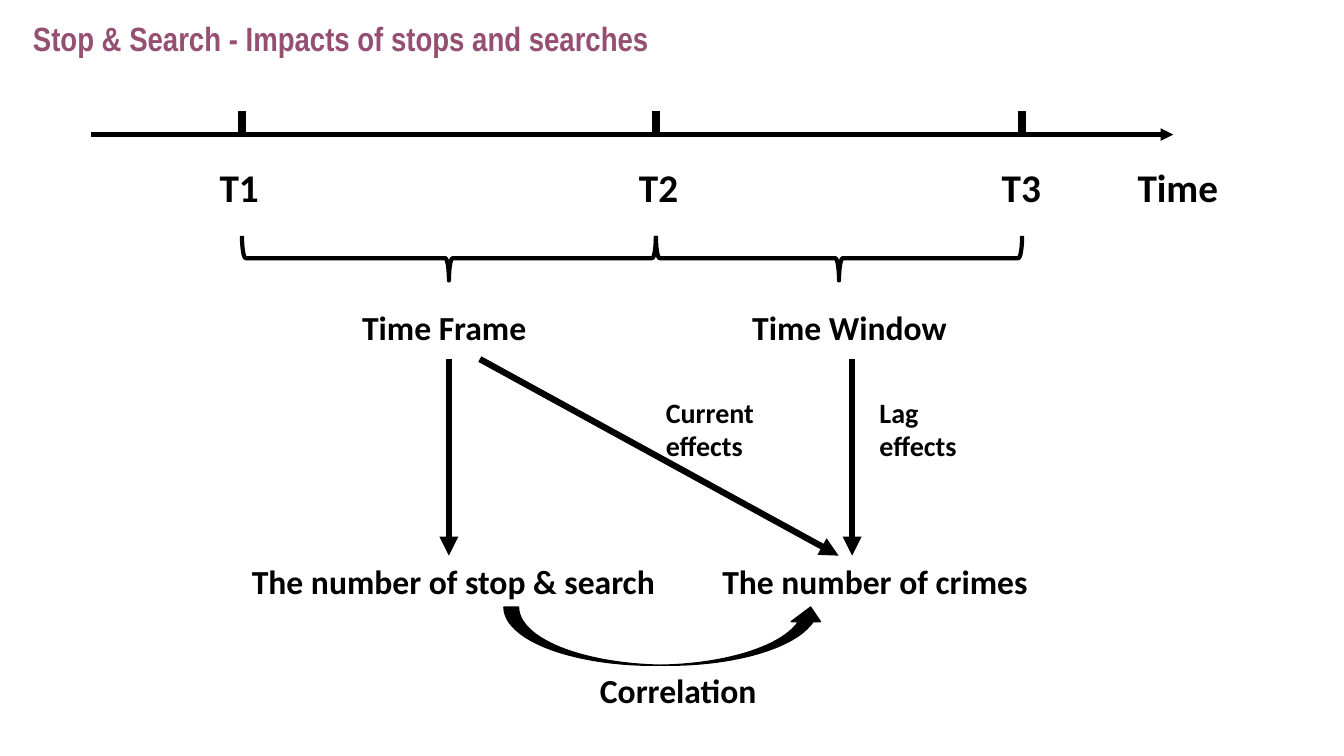
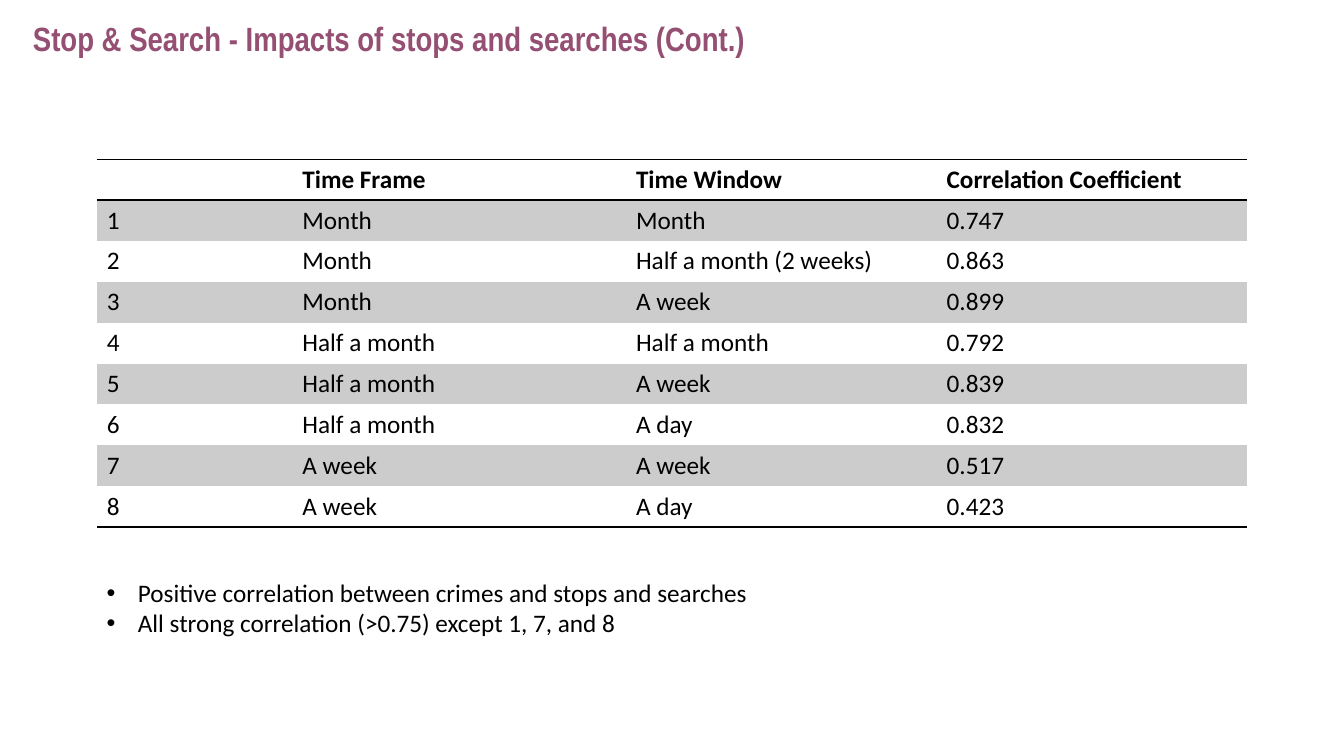
from dataclasses import dataclass

from lxml.etree import SubElement
from pptx import Presentation
from pptx.dml.color import RGBColor
from pptx.enum.shapes import MSO_CONNECTOR as Connector, MSO_SHAPE as Preset
from pptx.enum.text import MSO_ANCHOR as Anchor, PP_ALIGN as Align
from pptx.oxml import parse_xml
from pptx.oxml.ns import nsdecls, qn
from pptx.util import Inches, Pt

COLORS = {"title": "954F72", "ink": "000000", "band": "CCCCCC"}
WIDTH, HEIGHT = Inches(13.33), Inches(7.5)
PLAIN_TABLE = "{2D5ABB26-0587-4C30-8999-92F81FD0307C}"


def col(count):
    """Return the length of some of the slide's 100 columns."""
    return round(WIDTH * count / 100)


def row(count):
    """Return the length of some of the slide's 100 rows."""
    return round(HEIGHT * count / 100)


@dataclass
class Box:
    """A region measured in columns and rows of the slide grid."""
    left: float
    top: float
    width: float
    height: float

    def point(self, x, y):
        """Return the slide position of an offset inside the box."""
        return col(self.left + x), row(self.top + y)

    def inner(self, x, y, width, height):
        """Return a smaller box at an offset inside the box."""
        return Box(self.left + x, self.top + y, width, height)

    def place(self):
        """Return left, top, width and height as lengths."""
        return *self.point(0, 0), col(self.width), row(self.height)


TITLE = Box(1.7, 3.2, 72.2, 4.4)


def rgb(name):
    """Return a named colour."""
    return RGBColor.from_string(COLORS[name])


def write(frame, text, size=24, bold=True, font="Calibri", color="ink", spacing=None, bullet=None):
    """Write one formatted paragraph for each line of the text."""
    frame.word_wrap = True
    for index, line in enumerate(text.split("\n")):
        paragraph = frame.add_paragraph() if index else frame.paragraphs[0]
        paragraph.alignment = Align.LEFT
        if spacing:
            paragraph.line_spacing = spacing
        run = paragraph.add_run()
        run.text = line
        run.font.size, run.font.bold, run.font.name = Pt(size), bold, font
        run.font.color.rgb = rgb(color)
        if bullet:
            properties = paragraph._p.get_or_add_pPr()
            properties.set("marL", str(Inches(0.31)))
            properties.set("indent", str(-Inches(0.31)))
            SubElement(properties, qn("a:buFont")).set("typeface", "Arial")
            SubElement(properties, qn("a:buChar")).set("char", bullet)


def label(slide, box, text, **style):
    """Add a text box."""
    write(slide.shapes.add_textbox(*box.place()).text_frame, text, **style)


def stroke(slide, start, end, weight, arrow=False):
    """Draw a straight line, with an arrowhead at its end on request."""
    line = slide.shapes.add_connector(Connector.STRAIGHT, *start, *end)
    line.line.color.rgb = rgb("ink")
    line.line.width = Pt(weight)
    if arrow:
        SubElement(line.line._get_or_add_ln(), qn("a:tailEnd")).set("type", "triangle")
    SubElement(line._element.spPr, qn("a:effectLst"))


def outlined(slide, preset, place, weight):
    """Add a preset shape with an ink outline and no shadow or fill."""
    shape = slide.shapes.add_shape(preset, *place)
    shape.shadow.inherit = False
    shape.fill.background()
    shape.line.color.rgb = rgb("ink")
    shape.line.width = Pt(weight)
    return shape


def titled_slide(deck, text):
    """Add a title-only slide with the shared title style."""
    slide = deck.slides.add_slide(deck.slide_layouts[5])
    title = slide.shapes.title
    title.left, title.top, title.width, title.height = TITLE.place()
    title.text_frame.vertical_anchor = Anchor.MIDDLE
    write(title.text_frame, text, font="Arial Narrow", color="title", spacing=0.9)
    return slide


def timeline(slide, box):
    """Draw the time axis with its ticks and labels."""
    axis = 3.1
    stroke(slide, box.point(0, axis), box.point(box.width, axis), 3, arrow=True)
    for tick in (11.2, 42, 69.25):
        stroke(slide, box.point(tick, 0), box.point(tick, axis), 6)
    for text, x in (("T1", 8.8), ("T2", 40), ("T3", 67), ("Time", 77.1)):
        label(slide, box.inner(x, 6.2, 8.4, 7.6), text, size=28)


def spans(slide, box):
    """Draw the two braces with the name of each period."""
    depth, split = row(5.9), 30.8
    for text, start, end in (("Time Frame", 0, split), ("Time Window", split, box.width)):
        middle, length = (start + end) / 2, col(end - start)
        x, y = box.point(middle, 0)
        place = x - depth // 2, y + (depth - length) // 2, depth, length
        outlined(slide, Preset.RIGHT_BRACE, place, 3).rotation = 90
        label(slide, box.inner(middle - 7.2, 8.7, 19, 6.7), text)


def effects(slide, box):
    """Draw the arrows from the periods to the counts and their correlation."""
    counts = 26
    for start, end in ((15.4, 15.4), (17.7, 44.4), (45.4, 45.4)):
        stroke(slide, box.point(start, 0), box.point(end, counts), 4.5, arrow=True)
    for text, x in (("Current\neffects", 30.8), ("Lag\neffects", 46.7)):
        label(slide, box.inner(x, 4.1, 19, 10.3), text, size=20)
    for text, x, y in (("The number of stop & search", 0, counts),
                       ("The number of crimes", 35, counts),
                       ("Correlation", 25.9, 40.4)):
        label(slide, box.inner(x, y, 39.1, 6.7), text)
    loop = outlined(slide, Preset.CURVED_UP_ARROW, box.inner(19.5, 32.8, 23.9, 7.7).place(), 1)
    loop.fill.solid()
    loop.fill.fore_color.rgb = rgb("ink")


def rule(cell, side):
    """Draw a thin line on the top (T) or bottom (B) of a cell."""
    cell._tc.get_or_add_tcPr().insert(0, parse_xml(
        f'<a:ln{side} {nsdecls("a")} w="{Pt(1)}"><a:solidFill>'
        f'<a:srgbClr val="{COLORS["ink"]}"/></a:solidFill></a:ln{side}>'))


def results(slide, box, records):
    """Add the table of correlations with banded rows and three rules."""
    shares = (0.17, 0.29, 0.27, 0.27)
    table = slide.shapes.add_table(len(records), len(shares), *box.place()).table
    table._tbl.tblPr.find(qn("a:tableStyleId")).text = PLAIN_TABLE
    table.horz_banding = False
    for column, share in zip(table.columns, shares):
        column.width = round(col(box.width) * share)
    for r, record in enumerate(records):
        for c, text in enumerate(record):
            cell = table.cell(r, c)
            if text:
                write(cell.text_frame, text, size=18, bold=r == 0)
            if r % 2:
                cell.fill.solid()
                cell.fill.fore_color.rgb = rgb("band")
            else:
                cell.fill.background()
            if r in (0, len(records) - 1):
                rule(cell, "B")
            if r == 0:
                rule(cell, "T")


def main():
    """Build the two slides and save them."""
    deck = Presentation()
    deck.slide_width, deck.slide_height = WIDTH, HEIGHT
    heading = "Stop & Search - Impacts of stops and searches"

    diagram = titled_slide(deck, heading)
    timeline(diagram, Box(6.8, 14.7, 80.5, 13.9))
    spans(diagram, Box(18, 31.2, 58.05, 15.4))
    effects(diagram, Box(18, 47.5, 74.1, 47.1))

    month, half, week, day = "Month", "Half a month", "A week", "A day"
    trials = (
        (month, month, "0.747"),
        (month, "Half a month (2 weeks)", "0.863"),
        (month, week, "0.899"),
        (half, half, "0.792"),
        (half, week, "0.839"),
        (half, day, "0.832"),
        (week, week, "0.517"),
        (week, day, "0.423"),
    )
    records = [("", "Time Frame", "Time Window", "Correlation Coefficient")]
    records += [(str(number), *trial) for number, trial in enumerate(trials, 1)]
    findings = titled_slide(deck, heading + " (Cont.)")
    results(findings, Box(7.2, 21.05, 85.6, 48.6), records)
    label(findings, Box(7.2, 75.7, 80.1, 9.4),
          "Positive correlation between crimes and stops and searches\n"
          "All strong correlation (>0.75) except 1, 7, and 8",
          size=18, bold=False, bullet="•")
    deck.save("out.pptx")


if __name__ == "__main__":
    main()
